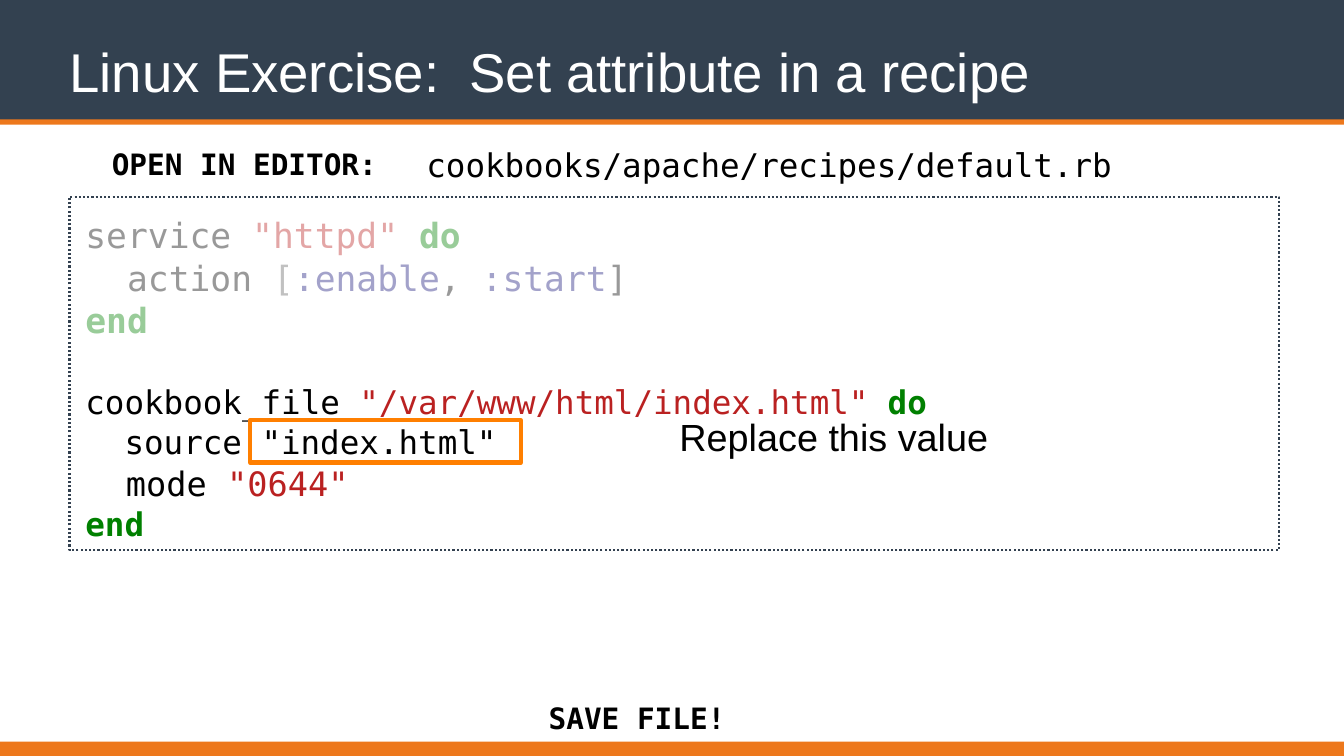
"""Build the slide on setting an attribute in a recipe."""
from lxml.etree import SubElement
from pptx import Presentation
from pptx.dml.color import RGBColor
from pptx.enum.dml import MSO_LINE
from pptx.enum.shapes import MSO_SHAPE
from pptx.enum.text import MSO_ANCHOR, PP_ALIGN
from pptx.oxml.ns import qn
from pptx.util import Inches, Pt

NAVY = RGBColor(0x33, 0x41, 0x50)
ORANGE = RGBColor(0xED, 0x78, 0x1C)
MARKER = RGBColor(0xFF, 0x7F, 0x00)
WHITE = RGBColor(0xFF, 0xFF, 0xFF)
BLACK = RGBColor(0, 0, 0)
RED = RGBColor(0xBA, 0x21, 0x21)
GREEN = RGBColor(0, 0x80, 0)
GREY = RGBColor(0x66, 0x66, 0x66)
VIOLET = RGBColor(0x19, 0x17, 0x7C)
SANS, MONO = "Arial", "DejaVu Sans Mono"
WIDTH, HEIGHT = 17.78, 10

BARS = [
    ((0, -0.14, WIDTH, 1.78), NAVY),
    ((0, 1.58, WIDTH, 0.07), ORANGE),
    ((0, 9.81, WIDTH, 0.25), ORANGE),
]
TITLE = ("Linux Exercise:  Set attribute in a recipe",
         (0.88, 0.19, 16.42, 1.22), 0.04, SANS, 52, WHITE, False)
LABELS = [
    ("SAVE FILE!", (7.26, 9.19, 3.33, 0.61), 0, MONO, 28, BLACK, True),
    ("OPEN IN EDITOR:", (1.48, 1.86, 6.7, 0.61), 0, MONO, 28, BLACK, True),
    ("cookbooks/apache/recipes/default.rb",
     (5.52, 1.8, 11.45, 0.76), 0.12, MONO, 31, BLACK, False),
    ("Replace this value",
     (8.89, 5.42, 4.33, 0.71), 0.1, SANS, 36, BLACK, False),
]
SERVICE = [
    [("service ", BLACK), ('"httpd" ', RED), ("do", GREEN)],
    [("  action ", BLACK), ("[", GREY), (":enable", VIOLET), (", ", BLACK),
     (":start", VIOLET), ("]", BLACK)],
    [("end", GREEN)],
]
COOKBOOK_FILE = [
    [("cookbook_file ", BLACK), ('"/var/www/html/index.html" ', RED),
     ("do", GREEN)],
    [("  source", BLACK), (" ", RED), ('"index.html"', BLACK)],
    [("  mode ", BLACK), ('"0644"', RED)],
    [("end", GREEN)],
]
BLOCKS = [(SERVICE, (33, 33, 33)), (COOKBOOK_FILE, (31, 31, 32, 31))]
CODE_BOX = (0.92, 2.6, 16, 4.68)
FADED_AREA = (1.06, 2.74, 12.13, 1.76)
VALUE_BOX = (3.31, 5.56, 3.58, 0.56)


def add_rect(s, box, fill=None, line=None, width=0):
    sp = s.shapes.add_shape(MSO_SHAPE.RECTANGLE, *map(Inches, box))
    sp.shadow.inherit = False
    if fill is None:
        sp.fill.background()
    else:
        sp.fill.solid()
        sp.fill.fore_color.rgb = fill
    if line is None:
        sp.line.fill.background()
    else:
        sp.line.color.rgb = line
        sp.line.width = Pt(width)
    return sp


def set_margins(tf, inset):
    tf.margin_left = tf.margin_right = Inches(inset)
    tf.margin_top = tf.margin_bottom = Inches(inset)


def style_run(r, font, size, color, bold):
    r.font.name, r.font.size, r.font.bold = font, Pt(size), bold
    r.font.color.rgb = color


def add_label(s, text, box, inset, font, size, color, bold):
    tf = s.shapes.add_textbox(*map(Inches, box)).text_frame
    tf.word_wrap = True
    tf.vertical_anchor = MSO_ANCHOR.MIDDLE
    set_margins(tf, inset)
    tf.text = text
    r = tf.paragraphs[0].runs[0]
    style_run(r, font, size, color, bold)
    return tf, r


def add_title(s):
    tf, r = add_label(s, *TITLE)
    tf.vertical_anchor = MSO_ANCHOR.BOTTOM
    effects = SubElement(r.font._element, qn("a:effectLst"))
    r.font._element.find(qn("a:solidFill")).addnext(effects)
    shadow = SubElement(effects, qn("a:outerShdw"), blurRad="38100",
                        dist="38100", dir="2700000", algn="tl")
    SubElement(shadow, qn("a:srgbClr"), val="000000")


def add_code(s):
    sp = add_rect(s, CODE_BOX, WHITE, NAVY, 2)
    sp.line.dash_style = MSO_LINE.ROUND_DOT
    tf = sp.text_frame
    tf.word_wrap = True
    tf.vertical_anchor = MSO_ANCHOR.TOP
    set_margins(tf, 0.21)
    p = tf.paragraphs[0]
    for b, (lines, sizes) in enumerate(BLOCKS):
        for i, (line, size) in enumerate(zip(lines, sizes)):
            if b or i:
                p = tf.add_paragraph()
            p.alignment = PP_ALIGN.LEFT
            p.line_spacing = 1.03
            if b and not i:
                p.space_before = Pt(38)
            for text, color in line:
                r = p.add_run()
                r.text = text
                style_run(r, MONO, size, color, color == GREEN)


def main():
    prs = Presentation()
    prs.slide_width, prs.slide_height = Inches(WIDTH), Inches(HEIGHT)
    s = prs.slides.add_slide(prs.slide_layouts[6])
    for box, color in BARS:
        add_rect(s, box, color)
    add_code(s)
    add_title(s)
    add_rect(s, VALUE_BOX, line=MARKER, width=4)
    veil = add_rect(s, FADED_AREA, WHITE)
    color = veil.fill._xPr.find(qn("a:solidFill"))[0]
    SubElement(color, qn("a:alpha"), val="60000")
    for label in LABELS:
        add_label(s, *label)
    prs.save("out.pptx")


if __name__ == "__main__":
    main()
